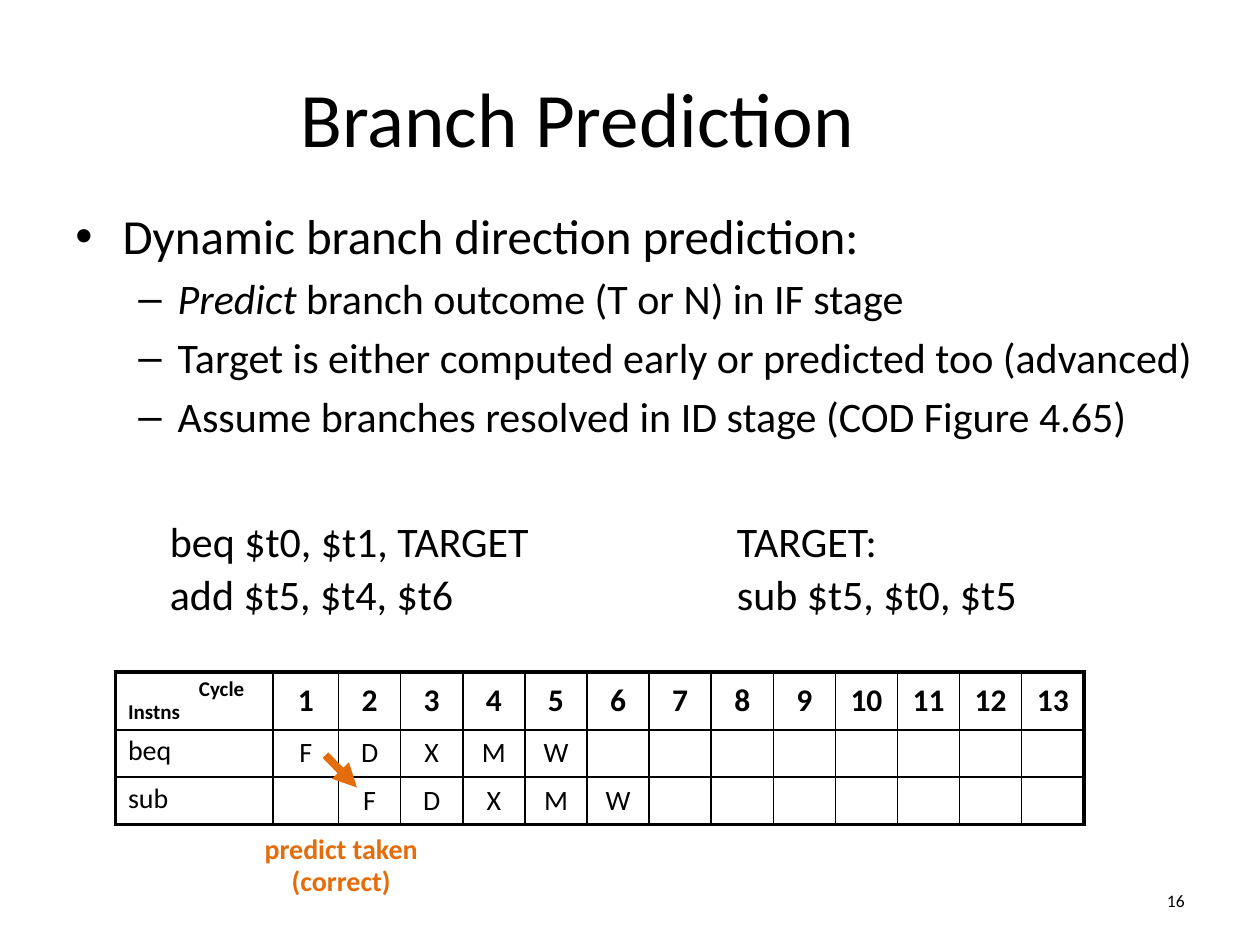
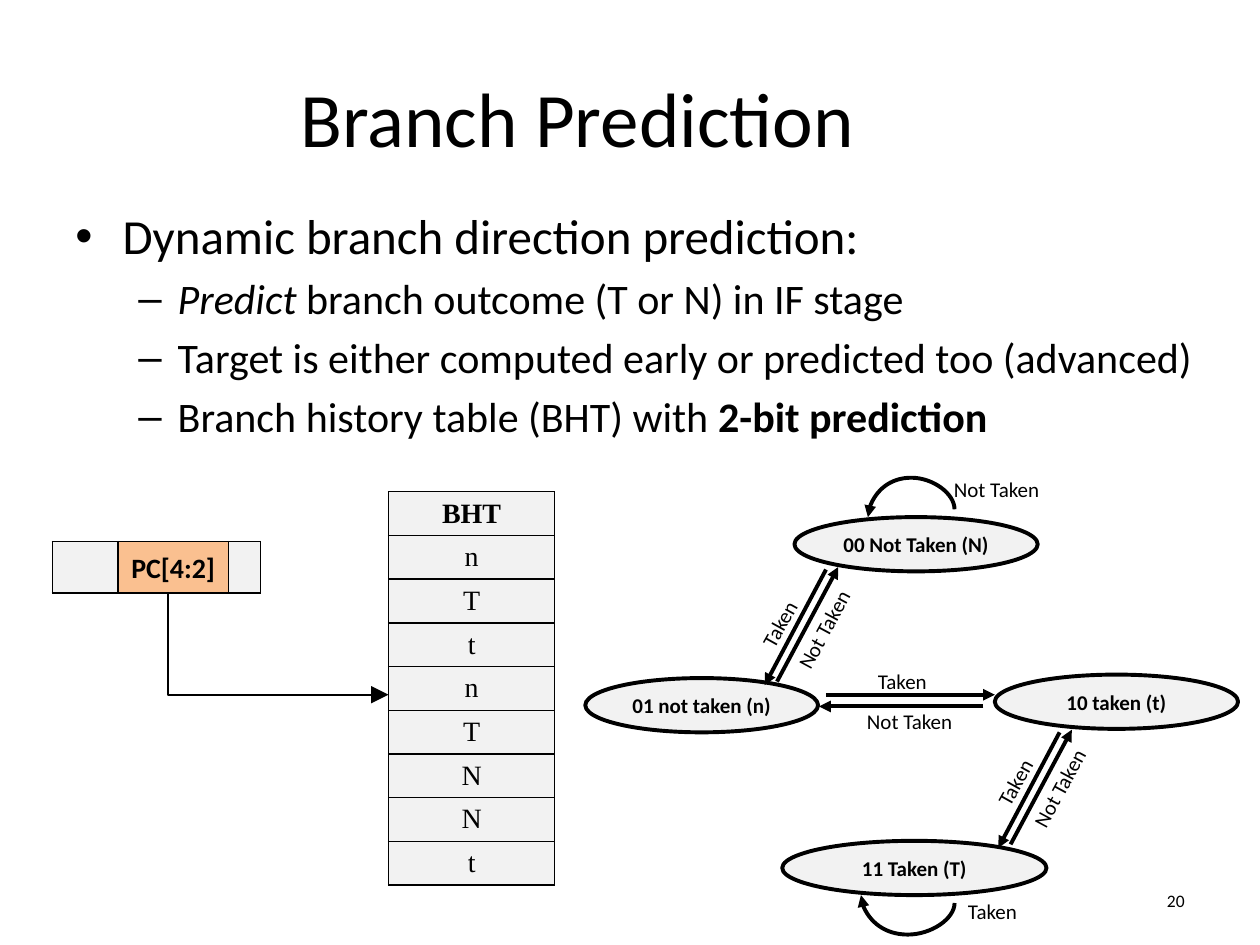
from dataclasses import dataclass

import lxml.etree
import pptx
import pptx.dml.color
import pptx.enum.shapes
import pptx.enum.text
import pptx.oxml.ns
import pptx.util

Pt = pptx.util.Pt
RGB = pptx.dml.color.RGBColor.from_string
qn = pptx.oxml.ns.qn
Align = pptx.enum.text.PP_ALIGN
Anchor = pptx.enum.text.MSO_ANCHOR
Connector = pptx.enum.shapes.MSO_CONNECTOR


@dataclass(frozen=True)
class Theme:
    ink: str = "000000"
    paper: str = "FFFFFF"
    panel: str = "F2F2F2"
    highlight: str = "FAC090"
    accent: str = "E46C0A"
    font: str = "Calibri"
    table_font: str = "Times New Roman"
    title: float = 44
    bullet: float = 28
    body: float = 24
    heading: float = 18
    cell: float = 16
    label: float = 12
    number: float = 10
    thin: float = 1
    thick: float = 2.25
    heavy: float = 4.5


THEME = Theme()


# Shared helpers
def add_element(parent, tag, **attributes):
    element = lxml.etree.SubElement(parent, qn(tag))
    for name, value in attributes.items():
        element.set(name, str(value))
    return element


def write(frame, text, *, size, bold=False, color=THEME.ink, font=THEME.font,
          align=Align.LEFT, spacing=1.0, before=0, margin=0, indent=0, bullet=None):
    """Add a paragraph; text is a string or a list of (text, emphasis) runs."""
    first = frame.paragraphs[0]
    is_first = not first.runs
    paragraph = first if is_first else frame.add_paragraph()
    paragraph.alignment = align
    paragraph.line_spacing = spacing
    paragraph.space_before = Pt(0 if is_first else before)
    properties = paragraph._p.get_or_add_pPr()
    properties.set("marL", str(Pt(margin)))
    properties.set("indent", str(Pt(indent)))
    if bullet:
        add_element(properties, "a:buFont", typeface="Arial")
        add_element(properties, "a:buChar", char=bullet)
    if not text:
        add_element(paragraph._p, "a:endParaRPr", sz=int(size * 100))
        return
    for words, emphasis in [(text, "")] if isinstance(text, str) else text:
        for index, line in enumerate(words.split("\n")):
            if index:
                paragraph.add_line_break()
            run = paragraph.add_run()
            run.text = line
            run.font.name = font
            run.font.size = Pt(size)
            run.font.bold = bold or emphasis == "bold"
            run.font.italic = emphasis == "italic"
            run.font.color.rgb = RGB(color)


def add_text_box(slide, left, top, width, height, anchor=Anchor.TOP, rotation=0):
    shape = slide.shapes.add_textbox(Pt(left), Pt(top), Pt(width), Pt(height))
    shape.rotation = rotation
    shape.text_frame.word_wrap = True
    shape.text_frame.vertical_anchor = anchor
    return shape.text_frame


def finish_line(connector, color, width, head="med"):
    connector.line.color.rgb = RGB(color)
    connector.line.width = Pt(width)
    line = connector.line._get_or_add_ln()
    add_element(line, "a:tailEnd", type="triangle", w=head, len=head)
    add_element(connector._element.spPr, "a:effectLst")


def add_arrow(slide, start, end, color=THEME.ink, width=THEME.thick):
    connector = slide.shapes.add_connector(
        Connector.STRAIGHT, *(Pt(value) for value in (*start, *end)))
    finish_line(connector, color, width)


def add_turned_arrow(slide, kind, start, end, rotation, flips, width,
                     preset=None, bend=None, head="med"):
    """A bent or curved arrow that leaves its start vertically."""
    across, down = abs(end[0] - start[0]), abs(end[1] - start[1])
    left = (start[0] + end[0] - down) / 2
    top = (start[1] + end[1] - across) / 2
    connector = slide.shapes.add_connector(
        kind, Pt(left), Pt(top), Pt(left + down), Pt(top + across))
    properties = connector._element.spPr
    frame = properties.find(qn("a:xfrm"))
    frame.set("rot", str(rotation * 60000))
    for flip in flips:
        frame.set(flip, "1")
    geometry = properties.find(qn("a:prstGeom"))
    if preset:
        geometry.set("prst", preset)
    if bend:
        add_element(geometry.find(qn("a:avLst")), "a:gd", name="adj1", fmla=f"val {bend}")
    finish_line(connector, THEME.ink, width, head)


def add_grid(slide, left, top, widths, heights):
    table = slide.shapes.add_table(len(heights), len(widths), Pt(left), Pt(top),
                                   Pt(sum(widths)), Pt(sum(heights))).table
    table.first_row = table.horz_banding = False
    for column, width in zip(table.columns, widths):
        column.width = Pt(width)
    for row, height in zip(table.rows, heights):
        row.height = Pt(height)
    return table


def format_cell(cell, fill, thick_sides="", anchor=Anchor.MIDDLE):
    properties = cell._tc.get_or_add_tcPr()
    for side in "LRTB":
        width = THEME.thick if side in thick_sides else THEME.thin
        border = add_element(properties, f"a:ln{side}", w=Pt(width))
        add_element(add_element(border, "a:solidFill"), "a:srgbClr", val=THEME.ink)
    cell.fill.solid()
    cell.fill.fore_color.rgb = RGB(fill)
    cell.vertical_anchor = anchor


# Parts common to both slides
def add_prediction_slide(presentation, number, last_point):
    slide = presentation.slides.add_slide(presentation.slide_layouts[5])
    title = slide.shapes.title
    title.left, title.top, title.width, title.height = Pt(36), Pt(21.5), Pt(588), Pt(90)
    title.text_frame.vertical_anchor = Anchor.MIDDLE
    write(title.text_frame, "Branch Prediction", size=THEME.title, align=Align.CENTER)

    body = add_text_box(slide, 36, 114, 684, 144)
    write(body, "Dynamic branch direction prediction:", size=THEME.bullet,
          margin=27, indent=-27, bullet="•")
    for point in (
        [("Predict", "italic"), (" branch outcome (T or N) in IF stage", "")],
        "Target is either computed early or predicted too (advanced)",
        last_point,
    ):
        write(body, point, size=THEME.body, before=4.8, margin=58.5, indent=-22.5, bullet="–")

    footer = add_text_box(slide, 600, 500, 84, 29, Anchor.MIDDLE)
    write(footer, str(number), size=THEME.number, align=Align.RIGHT)
    return slide


# Pipeline slide
def add_code(slide, left, top, width, lines):
    frame = add_text_box(slide, left, top, width, 84)
    for line in lines:
        write(frame, line, size=THEME.body, spacing=0.9, before=4.8, margin=36)


def add_pipeline(slide, left, top):
    cycles = 13
    instructions = [("beq", 1, "FDXMW"), ("sub", 2, "FDXMW")]
    table = add_grid(slide, left, top, [90, 37.5] + [35.5] * (cycles - 1), [33, 27, 27])
    last_row = len(instructions)
    for row in range(last_row + 1):
        for column in range(cycles + 1):
            sides = [("L", column == 0), ("R", column == cycles),
                     ("T", row == 0), ("B", row == last_row)]
            name_cell = row > 0 and column == 0
            format_cell(table.cell(row, column), THEME.paper,
                        "".join(side for side, outer in sides if outer),
                        Anchor.TOP if name_cell else Anchor.MIDDLE)

    write(table.cell(0, 0).text_frame, "Cycle\nInstns", size=THEME.label, bold=True,
          spacing=0.9, indent=40.5)
    for cycle in range(1, cycles + 1):
        write(table.cell(0, cycle).text_frame, str(cycle), size=THEME.heading,
              bold=True, align=Align.CENTER, spacing=0.9)
    for row, (name, start, stages) in enumerate(instructions, 1):
        write(table.cell(row, 0).text_frame, name, size=THEME.cell, spacing=0.9)
        placed = dict(enumerate(stages, start))
        for cycle in range(1, cycles + 1):
            write(table.cell(row, cycle).text_frame, placed.get(cycle, ""),
                  size=THEME.cell, align=Align.CENTER, spacing=0.9)

    # Prediction mark
    add_arrow(slide, (left + 120, top + 47.5), (left + 138, top + 66),
              THEME.accent, THEME.heavy)
    note = add_text_box(slide, left + 60, top + 91.5, 138, 42)
    for line in ("predict taken", "(correct)"):
        write(note, line, size=THEME.cell, bold=True, color=THEME.accent,
              align=Align.CENTER, spacing=0.8, before=3)


# History table slide
def add_history_table(slide, left, top):
    entries = ["BHT", *"nTtnTNNt"]
    table = add_grid(slide, left + 192, top, [95], [25] * len(entries))
    for row, entry in enumerate(entries):
        cell = table.cell(row, 0)
        format_cell(cell, THEME.panel)
        cell.margin_top = cell.margin_bottom = Pt(2.5)
        write(cell.text_frame, entry, size=THEME.cell, bold=row == 0,
              font=THEME.table_font, align=Align.CENTER)

    # Program counter with its index bits
    counter = add_grid(slide, left, top + 28.5, [37.5, 63, 18.5], [29.5])
    for column, fill in enumerate([THEME.panel, THEME.highlight, THEME.panel]):
        format_cell(counter.cell(0, column), fill)
        write(counter.cell(0, column).text_frame, "", size=THEME.cell)
    index_bits = add_text_box(slide, left, top + 30.5, 138, 29, Anchor.MIDDLE)
    write(index_bits, "PC[4:2]", size=THEME.cell, bold=True, align=Align.CENTER, spacing=0.8)
    add_turned_arrow(slide, Connector.ELBOW, (left + 66, top + 58),
                     (left + 192, top + 116), 270, ["flipH"], THEME.thin,
                     preset="bentConnector2", head="lg")


def add_label(slide, text, left, top, rotation=0):
    frame = add_text_box(slide, left, top, 101.5, 21.6, rotation=rotation)
    write(frame, text, size=THEME.label)


def add_step_arrows(slide, left, top):
    """Two opposite slanted arrows between neighbouring states."""
    add_arrow(slide, (left + 7, top + 65.5), (left + 42, top))
    add_arrow(slide, (left + 35, top + 1.5), (left, top + 67.5))


def add_step_labels(slide, left, top):
    add_label(slide, "Taken", left, top, 299.1)
    add_label(slide, "Not Taken", left + 20, top + 12.2, 298.2)


def add_state_diagram(slide, left, top):
    # States
    for text, x, y, width in (
        ("01 not taken (n)", 5, 118, 133),
        ("00 Not Taken (N)", 124.5, 26, 139),
        ("10 taken (t)", 239, 116, 139),
        ("11 Taken (T)", 117.5, 211, 151),
    ):
        state = slide.shapes.add_shape(pptx.enum.shapes.MSO_SHAPE.OVAL, Pt(left + x),
                                       Pt(top + y), Pt(width), Pt(31))
        state.shadow.inherit = False
        state.fill.solid()
        state.fill.fore_color.rgb = RGB(THEME.panel)
        state.line.color.rgb = RGB(THEME.ink)
        state.line.width = Pt(THEME.thick)
        state.text_frame.word_wrap = False
        state.text_frame.vertical_anchor = Anchor.MIDDLE
        write(state.text_frame, text, size=THEME.label, bold=True, align=Align.CENTER)

    # Moves between states
    for x, y in ((107.5, 54.5), (241, 147.5)):
        add_step_arrows(slide, left + x, top + y)
    for x, y in ((79.5, 50.2), (214.1, 140.9)):
        add_step_labels(slide, left + x, top + y)
    for start, end, y in ((142.5, 239, 127.5), (232.5, 138.5, 134.2)):
        add_arrow(slide, (left + start, top + y), (left + end, top + y))

    # Loops at the two strong states
    for start, end, rotation, flips in (
        ((216, 21.5), (166.5, 26), 270, ["flipH", "flipV"]),
        ((216, 246.5), (162.5, 242), 90, ["flipH"]),
    ):
        add_turned_arrow(slide, Connector.CURVE, (left + start[0], top + start[1]),
                         (left + end[0], top + end[1]), rotation, flips,
                         THEME.thick, bend=-400800)

    for text, x, y in (("Taken", 165, 108.8), ("Not Taken", 158.8, 132),
                       ("Not Taken", 208.5, -0.5), ("Taken", 216.5, 240.4)):
        add_label(slide, text, left + x, top + y)


def main():
    presentation = pptx.Presentation()
    presentation.slide_width, presentation.slide_height = Pt(720), Pt(540)

    slide = add_prediction_slide(
        presentation, 16, "Assume branches resolved in ID stage (COD Figure 4.65)")
    add_code(slide, 54, 294, 528, ["beq $t0, $t1, TARGET", "add $t5, $t4, $t6"])
    add_code(slide, 378, 294, 306, ["TARGET:", "sub $t5, $t0, $t5"])
    add_pipeline(slide, 66, 384)

    slide = add_prediction_slide(
        presentation, 20,
        [("Branch history table (BHT) with ", ""), ("2-bit prediction", "bold")])
    add_history_table(slide, 30, 281)
    add_state_diagram(slide, 329.5, 269.5)

    presentation.save("out.pptx")


if __name__ == "__main__":
    main()
